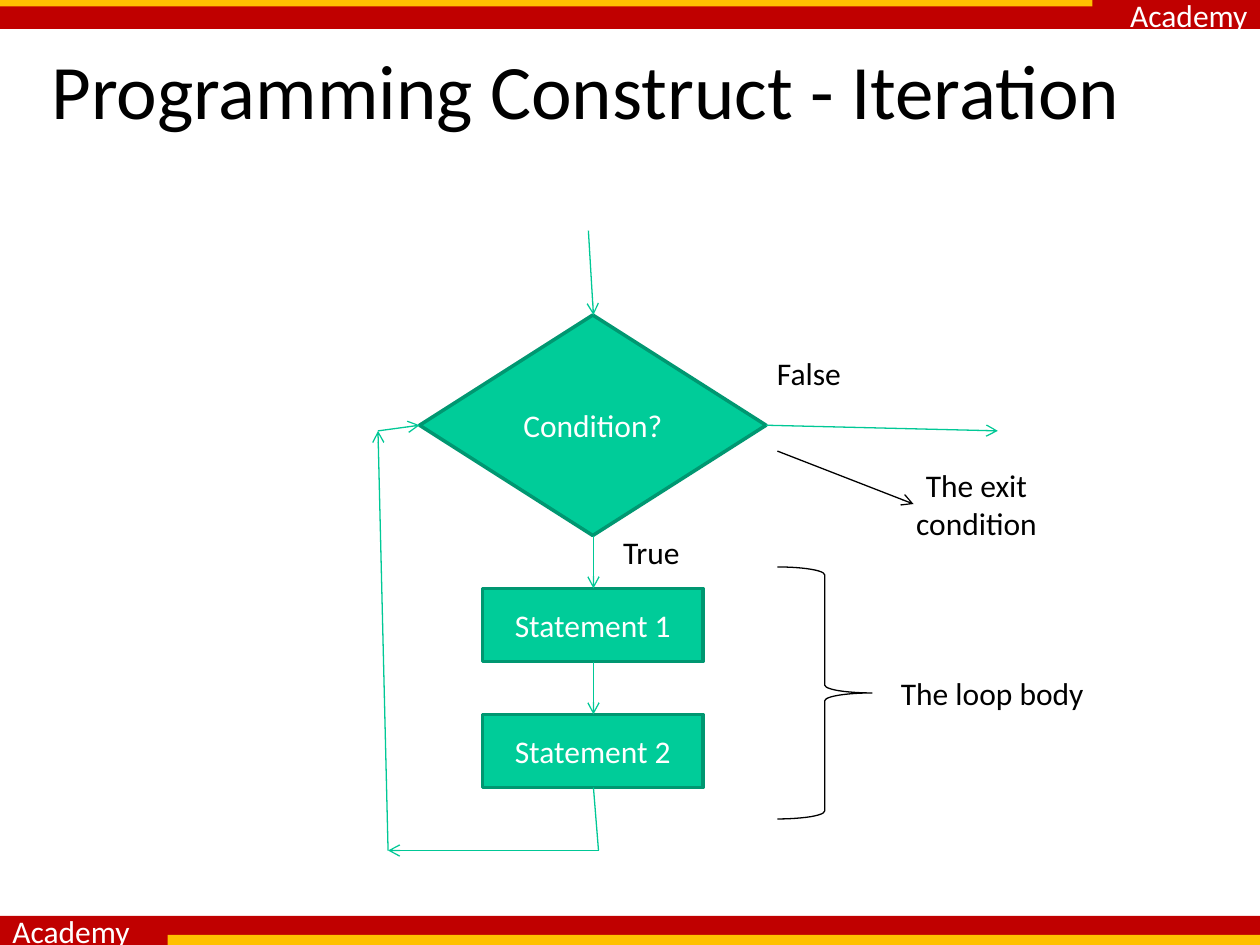
from dataclasses import dataclass

from lxml import etree
from pptx import Presentation
from pptx.dml.color import RGBColor
from pptx.enum.shapes import MSO_CONNECTOR, MSO_SHAPE
from pptx.enum.text import MSO_ANCHOR, PP_ALIGN
from pptx.oxml.ns import qn
from pptx.util import Inches, Pt

LEFT, MID, RIGHT = PP_ALIGN.LEFT, PP_ALIGN.CENTER, PP_ALIGN.RIGHT
RECT, DIAMOND, BRACE = MSO_SHAPE.RECTANGLE, MSO_SHAPE.DIAMOND, MSO_SHAPE.RIGHT_BRACE
MIDDLE = MSO_ANCHOR.MIDDLE
STRAIGHT = MSO_CONNECTOR.STRAIGHT


@dataclass(frozen=True)
class Theme:
    """Colours, font and type sizes of the slide."""
    red: str = "C00000"
    gold: str = "FFC000"
    green: str = "00CC99"
    edge: str = "009771"
    arrow: str = "00C896"
    black: str = "000000"
    white: str = "FFFFFF"
    font: str = "Calibri"
    title: int = 44
    body: int = 18
    thin: float = 0.75
    thick: float = 2


THEME = Theme()


def color(code):
    """Turn a hex code into a colour."""
    return RGBColor.from_string(code)


def write(shape, text, ink=THEME.black, size=THEME.body, align=MID):
    """Set the text of a shape, centred on its height."""
    frame = shape.text_frame
    frame.word_wrap = True
    frame.vertical_anchor = MIDDLE
    para = frame.paragraphs[0]
    para.text = text
    para.alignment = align
    para.font.name = THEME.font
    para.font.size = Pt(size)
    para.font.color.rgb = color(ink)


def label(slide, box, text, **style):
    """Add a text box."""
    write(slide.shapes.add_textbox(*map(Inches, box)), text, **style)


def block(slide, kind, box, fill=None, edge=None, width=THEME.thin):
    """Add a preset shape with an optional fill and line."""
    shape = slide.shapes.add_shape(kind, *map(Inches, box))
    shape.shadow.inherit = False
    if fill:
        shape.fill.solid()
        shape.fill.fore_color.rgb = color(fill)
    else:
        shape.fill.background()
    if edge:
        shape.line.color.rgb = color(edge)
        shape.line.width = Pt(width)
    else:
        shape.line.fill.background()
    return shape


def link(slide, start, end, ink=THEME.arrow, head=True):
    """Add a straight line, with an open arrowhead at its end."""
    line = slide.shapes.add_connector(STRAIGHT, *map(Inches, (*start, *end)))
    line.line.color.rgb = color(ink)
    line.line.width = Pt(THEME.thin)
    props = line._element.spPr
    if head:
        etree.SubElement(props.find(qn("a:ln")), qn("a:tailEnd"), type="arrow")
    etree.SubElement(props, qn("a:effectLst"))


def band(slide, box, stripe, align):
    """Draw a red band with its name and a gold stripe inside it."""
    x, y, w, h = box
    dx, dy, sw, sh = stripe
    bar = block(slide, RECT, box, THEME.red)
    write(bar, "Academy", THEME.white, align=align)
    block(slide, RECT, (x + dx, y + dy, sw, sh), THEME.gold)


def step(slide, kind, box, text):
    """Draw one green step of the flow chart."""
    shape = block(slide, kind, box, THEME.green, THEME.edge, THEME.thick)
    write(shape, text, THEME.white)


def flow(slide, box):
    """Draw the loop: condition, statements and the way back."""
    x, y, w, h = box
    axis, side = x + 1.71, x + 0.33
    top, foot = y + 0.67, y + 2.42
    turn = y + 1.59
    mid = (top + foot) / 2
    step(slide, DIAMOND, (side, top, 2.75, foot - top), "Condition?")
    link(slide, (x + 1.67, y), (axis, top))
    for num in (1, 2):
        place = y + 1.84 + num
        step(slide, RECT, (axis - 0.88, place, 1.75, 0.58), f"Statement {num}")
        link(slide, (axis, foot), (axis, place))
        foot = place + 0.58
    path = [(axis, foot), (x + 1.75, y + h), (x + 0.08, y + h),
            (x, turn), (side, mid)]
    for num, (start, end) in enumerate(zip(path, path[1:])):
        link(slide, start, end, head=num > 0)
    link(slide, (side + 2.75, mid), (x + w, turn))
    label(slide, (axis - 0.04, y + 2.34, 1, 0.42), "True")


def notes(slide, box):
    """Draw the remarks on the exit and on the loop body."""
    x, y, w, h = box
    text = x + 1.08
    label(slide, (x, y, 1, 0.42), "False")
    link(slide, (x + 0.25, y + 0.83), (x + 1.33, y + 1.25), THEME.black)
    label(slide, (text, y + 1, 1.5, 0.5), "The exit condition")
    block(slide, BRACE, (x + 0.25, y + h - 2, 0.75, 2), edge=THEME.black)
    label(slide, (text, y + h - 1.25, x + w - text, 0.5), "The loop body")


def main():
    """Build and save the slide."""
    deck = Presentation()
    deck.slide_width, deck.slide_height = Inches(10), Inches(7.5)
    slide = deck.slides.add_slide(deck.slide_layouts[6])
    band(slide, (0, 0, 10, 0.23), (0, 0, 8.67, 0.05), RIGHT)
    band(slide, (0, 7.27, 10, 0.23), (1.33, 0.15, 8.67, 0.08), LEFT)
    label(slide, (0.31, 0.29, 9.33, 0.83), "Programming Construct - Iteration",
          size=THEME.title, align=LEFT)
    flow(slide, (3, 1.83, 4.92, 4.92))
    notes(slide, (5.92, 2.75, 2.83, 3.75))
    deck.save("out.pptx")


if __name__ == "__main__":
    main()
